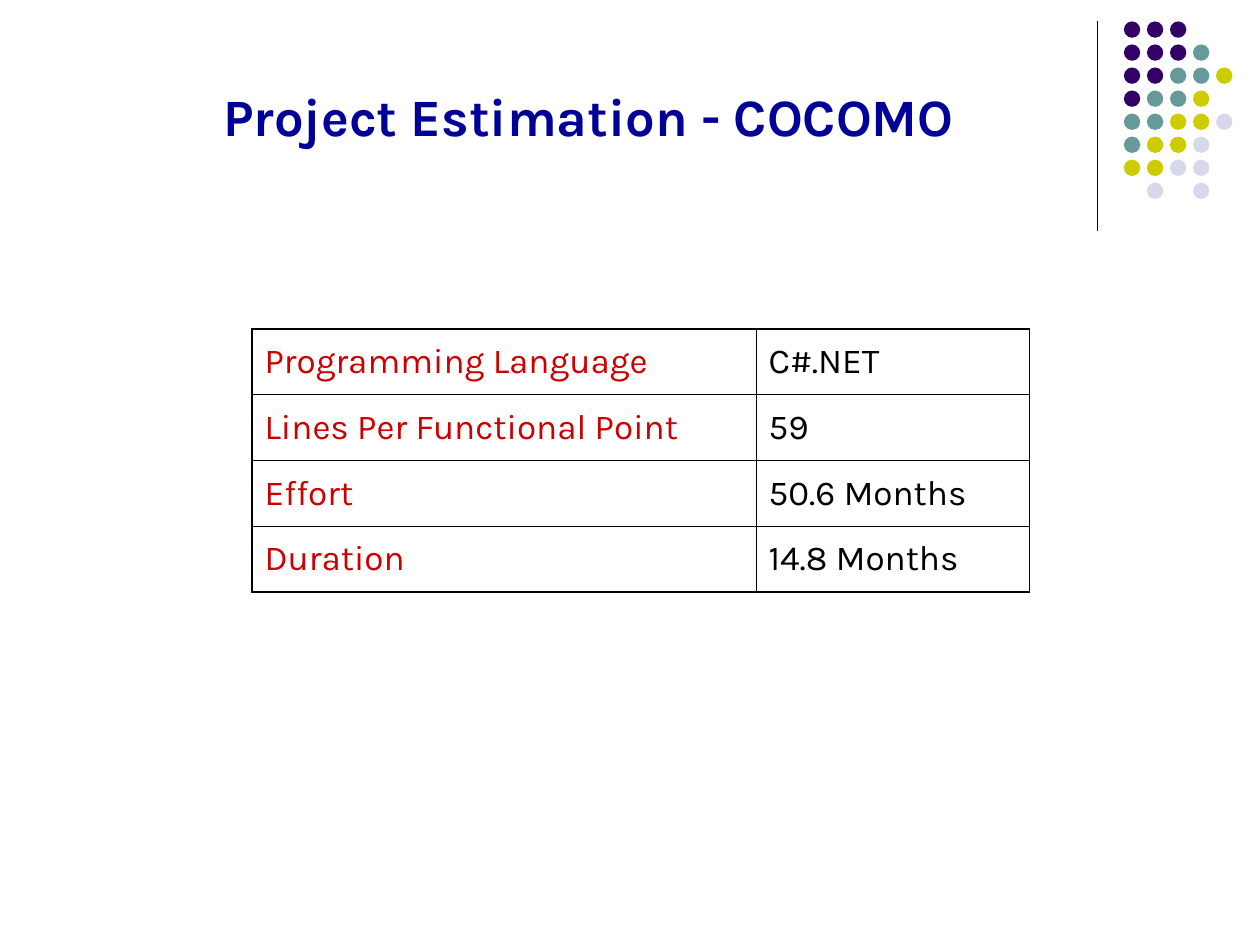
from dataclasses import dataclass

from lxml import etree
from pptx import Presentation
from pptx.dml.color import RGBColor
from pptx.enum.shapes import MSO_CONNECTOR, MSO_SHAPE
from pptx.enum.text import MSO_ANCHOR, MSO_AUTO_SIZE, PP_ALIGN
from pptx.oxml.ns import qn
from pptx.slide import Slide
from pptx.table import _Cell
from pptx.text.text import TextFrame
from pptx.util import Inches, Pt

ELLIPSE = MSO_SHAPE.OVAL
STRAIGHT = MSO_CONNECTOR.STRAIGHT
LEFT = PP_ALIGN.LEFT
BOTTOM, MIDDLE = MSO_ANCHOR.BOTTOM, MSO_ANCHOR.MIDDLE
NO_AUTOFIT = MSO_AUTO_SIZE.NONE
TITLE_ONLY_LAYOUT = 5


@dataclass(frozen=True)
class Theme:
    font: str = "Karla"
    title_size: int = 30
    table_size: int = 20
    title: str = "000099"
    label: str = "CC0000"
    ink: str = "000000"
    purple: str = "330066"
    teal: str = "669999"
    olive: str = "CCCC00"
    lavender: str = "D8D8EC"
    rule_width: float = 0.75
    outer_border: float = 1.08
    inner_border: float = 0.45


@dataclass(frozen=True)
class Estimate:
    label: str
    value: str


THEME = Theme()
ESTIMATES = [
    Estimate("Programming Language", "C#.NET"),
    Estimate("Lines Per Functional Point", "59"),
    Estimate("Effort", "50.6 Months"),
    Estimate("Duration", "14.8 Months"),
]
COLUMN_WIDTHS = (4, 2.17)
ROW_HEIGHT = 2.09 / len(ESTIMATES)

DOT_ROWS = ("PPP", "PPPT", "PPTTO", "PTTO", "TTOOL", "TOOL", "OOLL", " L L")
DOT_COLORS = {
    "P": THEME.purple,
    "T": THEME.teal,
    "O": THEME.olive,
    "L": THEME.lavender,
}
DOT_LEFT, DOT_TOP, DOT_SIZE = 8.92, 0.17, 0.13
DOT_PITCH = 1.28 / 7


def write_text(frame: TextFrame, text: str, *, size: float, color: str,
               bold: bool = False) -> None:
    paragraph = frame.paragraphs[0]
    paragraph.text = text
    paragraph.alignment = LEFT
    font = paragraph.runs[0].font
    font.name = THEME.font
    font.size = Pt(size)
    font.bold = bold
    font.color.rgb = RGBColor.from_string(color)


def add_title(slide: Slide, text: str) -> None:
    title = slide.shapes.title
    title.left, title.top = Inches(1.67), Inches(0.67)
    title.width, title.height = Inches(6.5), Inches(0.55)
    frame = title.text_frame
    frame.auto_size = NO_AUTOFIT
    frame.word_wrap = True
    frame.vertical_anchor = BOTTOM
    write_text(frame, text, size=THEME.title_size, color=THEME.title, bold=True)


def add_rule(slide: Slide) -> None:
    x = Inches(8.71)
    rule = slide.shapes.add_connector(STRAIGHT, x, Inches(0.17), x, Inches(1.83))
    rule.line.color.rgb = RGBColor.from_string(THEME.ink)
    rule.line.width = Pt(THEME.rule_width)
    etree.SubElement(rule._element.spPr, qn("a:effectLst"))


def add_dots(slide: Slide) -> None:
    group = slide.shapes.add_group_shape()
    for row, codes in enumerate(DOT_ROWS):
        for column, code in enumerate(codes):
            if code not in DOT_COLORS:
                continue
            dot = group.shapes.add_shape(
                ELLIPSE,
                Inches(DOT_LEFT + column * DOT_PITCH),
                Inches(DOT_TOP + row * DOT_PITCH),
                Inches(DOT_SIZE), Inches(DOT_SIZE))
            dot.shadow.inherit = False
            dot.fill.solid()
            dot.fill.fore_color.rgb = RGBColor.from_string(DOT_COLORS[code])
            dot.line.fill.background()


def set_borders(cell: _Cell, widths: dict[str, float]) -> None:
    """Put border lines, which the schema wants ahead of the cell's fill."""
    properties = cell._tc.get_or_add_tcPr()
    for index, (side, width) in enumerate(widths.items()):
        line = etree.Element(qn(f"a:ln{side}"), w=str(Pt(width)))
        fill = etree.SubElement(line, qn("a:solidFill"))
        etree.SubElement(fill, qn("a:srgbClr"), val=THEME.ink)
        properties.insert(index, line)


def add_estimate_table(slide: Slide) -> None:
    rows, columns = len(ESTIMATES), len(COLUMN_WIDTHS)
    table = slide.shapes.add_table(
        rows, columns, Inches(2), Inches(2.61),
        Inches(sum(COLUMN_WIDTHS)), Inches(ROW_HEIGHT * rows)).table
    table.first_row = table.horz_banding = False
    for column, width in zip(table.columns, COLUMN_WIDTHS):
        column.width = Inches(width)

    for row, estimate in enumerate(ESTIMATES):
        table.rows[row].height = Inches(ROW_HEIGHT)
        entries = ((estimate.label, THEME.label), (estimate.value, THEME.ink))
        for column, (text, color) in enumerate(entries):
            cell = table.cell(row, column)
            cell.fill.background()
            cell.vertical_anchor = MIDDLE
            write_text(cell.text_frame, text, size=THEME.table_size, color=color)
            on_edge = {
                "L": column == 0,
                "R": column == columns - 1,
                "T": row == 0,
                "B": row == rows - 1,
            }
            set_borders(cell, {
                side: THEME.outer_border if outer else THEME.inner_border
                for side, outer in on_edge.items()})


def main() -> None:
    presentation = Presentation()
    presentation.slide_width = Inches(10)
    presentation.slide_height = Inches(7.5)
    slide = presentation.slides.add_slide(
        presentation.slide_layouts[TITLE_ONLY_LAYOUT])
    add_rule(slide)
    add_dots(slide)
    add_title(slide, "Project Estimation - COCOMO")
    add_estimate_table(slide)
    presentation.save("out.pptx")


if __name__ == "__main__":
    main()
